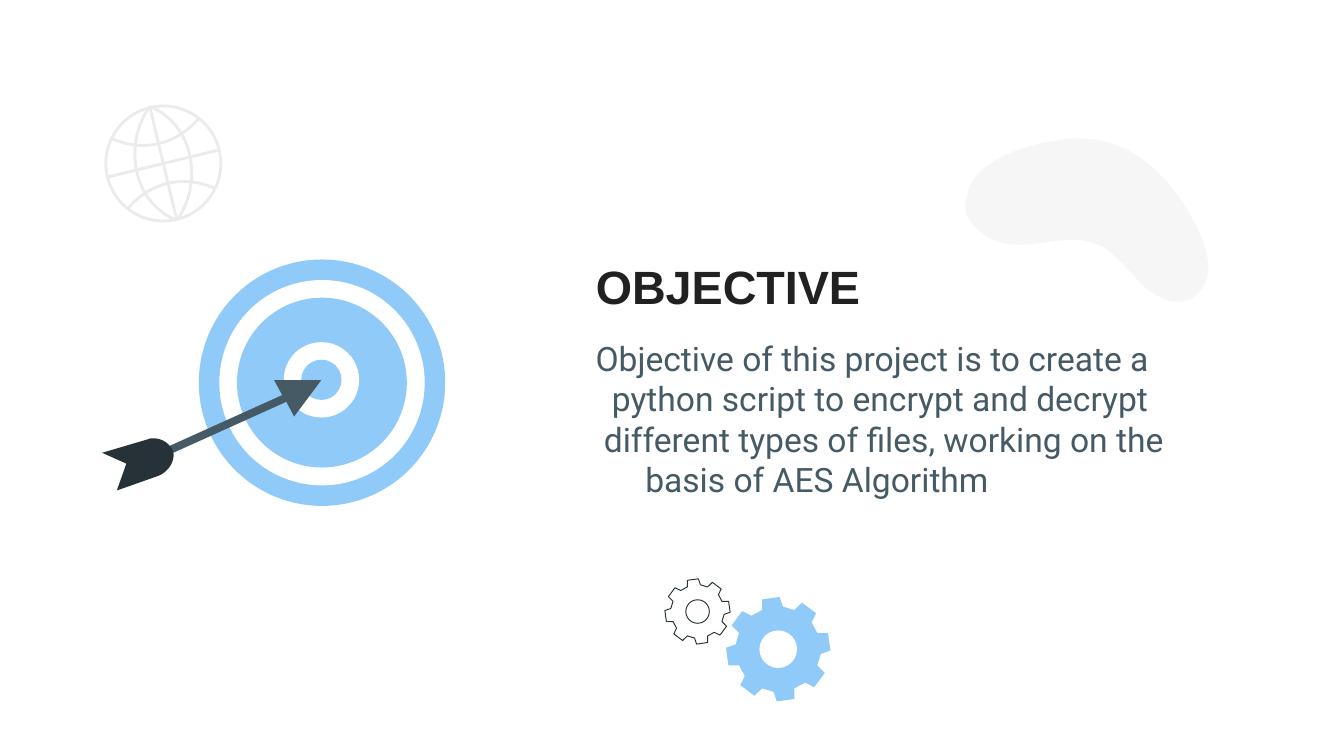
from math import cos, radians, sin

from lxml import etree
from pptx import Presentation
from pptx.dml.color import RGBColor
from pptx.enum.shapes import MSO_CONNECTOR as CONN, MSO_SHAPE as SHAPE
from pptx.enum.text import MSO_ANCHOR as ANCHOR, PP_ALIGN as ALIGN
from pptx.oxml.ns import qn
from pptx.util import Pt

BLUE, WHITE, SLATE, NAVY, PALE = "90CAF9", "FFFFFF", "455A64", "263238", "EBEBEB"


def style(sp, fill=None, line=None, width=1.5):
    """Give a shape flat colours, with no fill or line where none is named."""
    sp.shadow.inherit = False
    if fill:
        sp.fill.solid()
        sp.fill.fore_color.rgb = RGBColor.from_string(fill)
    else:
        sp.fill.background()
    if line:
        sp.line.color.rgb = RGBColor.from_string(line)
        sp.line.width = Pt(width)
    else:
        sp.line.fill.background()


def outline(start, segments, close=True):
    """Draw lines (x, y) and cubic curves (x1, y1, x2, y2, x, y), in points."""
    points = [start]
    for seg in segments:
        if len(seg) == 2:
            points.append(seg)
            continue
        x, y = points[-1]
        x1, y1, x2, y2, x3, y3 = seg
        for i in range(1, 13):
            t = i / 12
            u = 1 - t
            a, b, c, d = u**3, 3 * u * u * t, 3 * u * t * t, t**3
            points.append((a * x + b * x1 + c * x2 + d * x3,
                           a * y + b * y1 + c * y2 + d * y3))
    # The builder rounds to whole units, so work in hundredths of a point
    units = [(x * 100, y * 100) for x, y in points]
    builder = s.shapes.build_freeform(*units[0], scale=Pt(0.01))
    builder.add_line_segments(units[1:], close=close)
    return builder.convert_to_shape()


prs = Presentation()
prs.slide_width, prs.slide_height = Pt(720), Pt(405)
s = prs.slides.add_slide(prs.slide_layouts[5])

# Gears: eight teeth, each with two tip and two valley corners
for cx, cy, radius, fill, line in ((416.9, 347.8, 28, BLUE, None),
                                   (373.7, 327.6, 17.5, None, NAVY)):
    corners = []
    for tooth in range(8):
        for angle, share in ((1.5, 1), (-18, 1), (-22.5, 0.81), (-38.7, 0.82)):
            a = radians(angle - 45 * tooth)
            r = radius * share
            corners.append((cx + r * sin(a), cy - r * cos(a)))
    style(outline(corners[0], corners[1:]), fill, line, 0.5)
    r = radius * 0.36
    hole = s.shapes.add_shape(SHAPE.OVAL, Pt(cx - r), Pt(cy - r), Pt(2 * r), Pt(2 * r))
    style(hole, WHITE, line, 0.5)

# Translucent blob
blob = outline((523.4, 122.4), [
    (526.3, 125.3, 529.9, 128.2, 533.5, 128.9),
    (542.9, 132.5, 552.2, 131, 561.6, 129.6),
    (571.7, 128.2, 581, 127.4, 589.7, 131.8),
    (593.3, 133.2, 596.2, 136.1, 599, 139),
    (603.4, 142.6, 607, 147.6, 612, 152.6),
    (619.2, 159.8, 631.4, 164.9, 639.4, 159.1),
    (644.4, 155.5, 647.3, 149.8, 647.3, 144),
    (647.3, 138.2, 645.8, 132.5, 643.7, 127.4),
    (637.9, 113.8, 630, 101.5, 619.2, 91.4),
    (605.5, 77.8, 586.8, 72, 568.1, 74.9),
    (549.4, 77.8, 519.8, 85.7, 517.7, 106.6),
    (516.2, 112, 518, 118, 523.4, 122.4),
])
style(blob, "E0E0E0")
color = blob.fill._xPr.find(qn("a:solidFill"))[0]
etree.SubElement(color, qn("a:alpha")).set("val", "29000")

# Globe: rim, two axes, and two curves mirrored through the centre
gx, gy, r = 87.5, 87.6, 30.8
rim = s.shapes.add_shape(SHAPE.OVAL, Pt(gx - r), Pt(gy - r), Pt(2 * r), Pt(2 * r))
style(rim, None, PALE)
for dx, dy in ((29.5, -7.2), (7.2, 30.2)):
    axis = s.shapes.add_connector(CONN.STRAIGHT, Pt(gx - dx), Pt(gy - dy),
                                  Pt(gx + dx), Pt(gy + dy))
    axis.line.color.rgb = RGBColor.from_string(PALE)
    axis.line.width = Pt(1.5)
    etree.SubElement(axis._element.spPr, qn("a:effectLst"))
for curve in ((59.8, 74.2, 75.6, 81.4, 93.6, 78.5, 106.6, 63.4),
              (79.9, 57.6, 67.7, 74.2, 68.4, 106.6, 94.3, 118.1)):
    mirrored = [2 * (gy if i % 2 else gx) - v for i, v in enumerate(curve)]
    for c in (curve, mirrored):
        style(outline(tuple(c[:2]), [c[2:]], close=False), None, PALE)

# Target rings, from the outside in
for cx, cy, r, fill in ((172.5, 205, 66, BLUE), (172.5, 205, 55, WHITE),
                        (172.5, 205, 45.5, BLUE), (172.2, 203.5, 20.2, WHITE),
                        (172.2, 203.5, 10.8, BLUE)):
    ring = s.shapes.add_shape(SHAPE.OVAL, Pt(cx - r), Pt(cy - r), Pt(2 * r), Pt(2 * r))
    style(ring, fill)

# Arrow in the target
arrow = outline((146.9, 203.7), [(151.2, 211.7), (90.7, 239), (92.9, 242.6),
                                 (153.4, 215.3), (157.6, 223.2), (172.1, 203.7)])
style(arrow, SLATE)
feather = outline((82.1, 234.9), [
    (80.6, 234.7, 79.9, 235.2, 78.5, 235.6),
    (54.7, 242.6), (67.7, 248.4), (62.6, 262.8), (85, 254.9),
    (90, 252.7, 93.6, 247.7, 92.9, 242.6),
    (92.4, 239.5, 88, 234.7, 82.1, 234.9),
])
style(feather, NAVY)

# Text
title = s.shapes.title
body = s.shapes.add_textbox(Pt(312), Pt(190.1), Pt(337.7), Pt(90))
title.left, title.top, title.width, title.height = Pt(312), Pt(131), Pt(303.8), Pt(41)
for sp, anchor in ((title, ANCHOR.TOP), (body, ANCHOR.MIDDLE)):
    tf = sp.text_frame
    tf.word_wrap = True
    tf.vertical_anchor = anchor
    tf.margin_left = tf.margin_right = tf.margin_top = tf.margin_bottom = Pt(7.2)

p = title.text_frame.paragraphs[0]
p.text = "OBJECTIVE"
p.alignment = ALIGN.LEFT
p.font.name, p.font.size, p.font.bold = "Arial", Pt(25), True
p.font.color.rgb = RGBColor.from_string("212121")

tf = body.text_frame
tf.margin_bottom = Pt(28.8)
for i, (text, indent) in enumerate((
        ("Objective of this project is to create a", 0),
        ("python script to encrypt and decrypt", 8.7),
        ("different types of files, working on the", 4.4),
        ("basis of AES Algorithm", 26.6))):
    p = tf.add_paragraph() if i else tf.paragraphs[0]
    p.text = text
    p._p.get_or_add_pPr().set("marL", str(Pt(indent)))
    p.font.name, p.font.size = "Roboto", Pt(18)
    p.font.color.rgb = RGBColor.from_string(SLATE)

prs.save("out.pptx")
